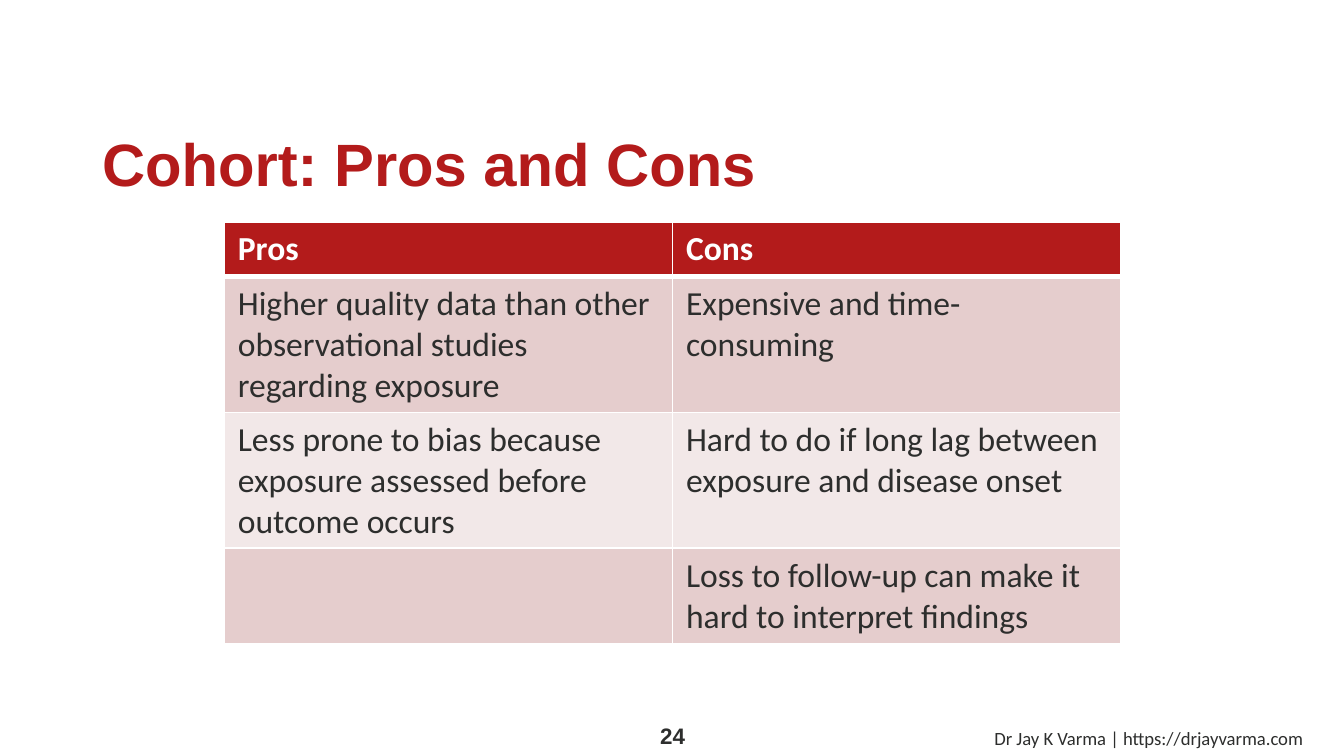
from lxml import etree
from pptx import Presentation
from pptx.dml.color import RGBColor
from pptx.enum.text import MSO_ANCHOR, PP_ALIGN
from pptx.oxml.ns import qn
from pptx.util import Inches, Pt

LEFT, CENTER = PP_ALIGN.LEFT, PP_ALIGN.CENTER
TOP, MIDDLE = MSO_ANCHOR.TOP, MSO_ANCHOR.MIDDLE
BLANK_LAYOUT = 6

COLORS = {
    "red": "B31B1B",
    "ink": "2D2E2D",
    "white": "FFFFFF",
    "band_dark": "E5CDCD",
    "band_light": "F2E8E8",
}

ROWS = [
    ("Pros", "Cons"),
    ("Higher quality data than other observational studies regarding exposure",
     "Expensive and time-consuming"),
    ("Less prone to bias because exposure assessed before outcome occurs",
     "Hard to do if long lag between exposure and disease onset"),
    ("", "Loss to follow-up can make it hard to interpret findings"),
]
ROW_HEIGHTS = [0.41, 1.01, 1.01, 0.71]


def format_runs(text_frame, font_name, size, color, bold=False):
    for paragraph in text_frame.paragraphs:
        for run in paragraph.runs:
            run.font.name = font_name
            run.font.size = Pt(size)
            run.font.bold = bold
            run.font.color.rgb = RGBColor.from_string(COLORS[color])


def add_text(slide, box, text, font_name, size, color, bold=False,
             align=LEFT, anchor=TOP, margin=None):
    shape = slide.shapes.add_textbox(*map(Inches, box))
    text_frame = shape.text_frame
    text_frame.word_wrap = True
    text_frame.vertical_anchor = anchor
    if margin is not None:
        text_frame.margin_left = text_frame.margin_right = Inches(margin)
        text_frame.margin_top = text_frame.margin_bottom = Inches(margin)
    text_frame.text = text
    text_frame.paragraphs[0].alignment = align
    format_runs(text_frame, font_name, size, color, bold)


def set_borders(cell, widths):
    """Draw white cell borders; widths maps L, R, T, B to points."""
    properties = cell._tc.get_or_add_tcPr()
    for side, width in widths.items():
        line = etree.SubElement(properties, qn(f"a:ln{side}"), w=str(Pt(width)))
        fill = etree.SubElement(line, qn("a:solidFill"))
        etree.SubElement(fill, qn("a:srgbClr"), val=COLORS["white"])


def add_comparison_table(slide, box):
    left, top, width, height = map(Inches, box)
    table = slide.shapes.add_table(
        len(ROWS), len(ROWS[0]), left, top, width, height).table
    for row, row_height in zip(table.rows, ROW_HEIGHTS):
        row.height = Inches(row_height)

    for row_index, texts in enumerate(ROWS):
        is_header = row_index == 0
        if is_header:
            fill_color = "red"
        else:
            fill_color = "band_dark" if row_index % 2 else "band_light"
        for column_index, text in enumerate(texts):
            cell = table.cell(row_index, column_index)
            set_borders(cell, {"L": 1, "R": 1,
                               "T": 3 if row_index == 1 else 1,
                               "B": 3 if is_header else 1})
            cell.fill.solid()
            cell.fill.fore_color.rgb = RGBColor.from_string(COLORS[fill_color])
            cell.text_frame.text = text
            format_runs(cell.text_frame, "Calibri", 18,
                        "white" if is_header else "ink", is_header)


def add_footer(slide, box):
    left, top, width, height = box
    # Page number
    add_text(slide, (left, top, 0.57, height), "24", "Arial", 12, "ink",
             bold=True, align=CENTER, anchor=MIDDLE)
    # Credit line
    add_text(slide, (left + 2.58, top + 0.04, width - 2.58, 0.27),
             "Dr Jay K Varma | https://drjayvarma.com", "Calibri", 10, "ink")


def main():
    presentation = Presentation()
    # Widescreen, 16:9
    presentation.slide_width = Inches(10)
    presentation.slide_height = Inches(10) * 9 // 16
    slide = presentation.slides.add_slide(
        presentation.slide_layouts[BLANK_LAYOUT])

    # Title
    add_text(slide, (0.76, 0.94, 8.56, 0.59), "Cohort: Pros and Cons",
             "Arial", 32, "red", bold=True, margin=0)
    # Pros and cons
    add_comparison_table(slide, (1.67, 1.65, 6.67, sum(ROW_HEIGHTS)))
    # Footer
    add_footer(slide, (4.72, 5.32, 6.43, 0.3))

    presentation.save("out.pptx")


if __name__ == "__main__":
    main()
